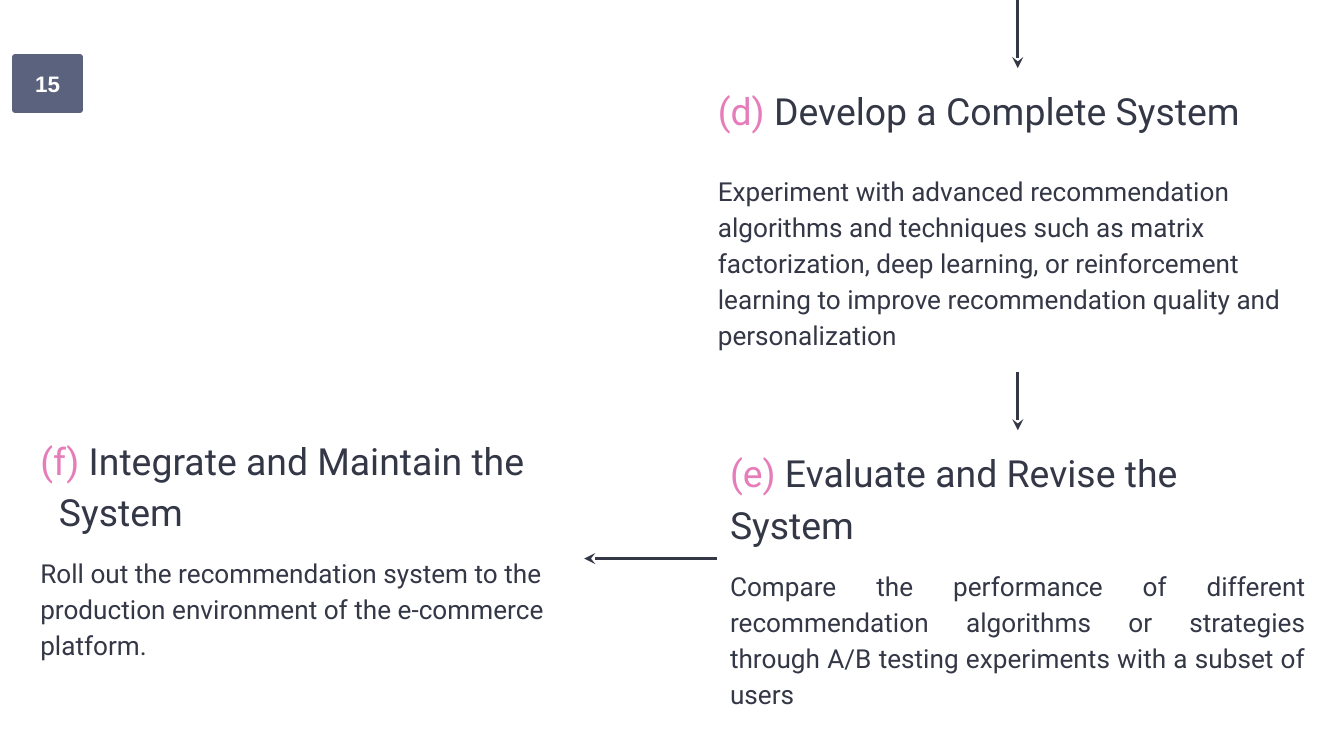
from lxml import etree
from pptx import Presentation
from pptx.dml.color import RGBColor
from pptx.enum.shapes import MSO_CONNECTOR, MSO_SHAPE
from pptx.enum.text import MSO_ANCHOR, PP_ALIGN
from pptx.oxml.ns import qn
from pptx.util import Pt

STRAIGHT = MSO_CONNECTOR.STRAIGHT
RECTANGLE = MSO_SHAPE.RECTANGLE
MIDDLE = MSO_ANCHOR.MIDDLE
LEFT, CENTER, JUSTIFY = PP_ALIGN.LEFT, PP_ALIGN.CENTER, PP_ALIGN.JUSTIFY
TOP_SIDE, LEFT_SIDE, BOTTOM_SIDE, RIGHT_SIDE = range(4)

COLORS = {"ink": "333746", "accent": "E67CB9", "badge": "5B627D", "white": "FFFFFF"}

# Boxes are left, top, width, height in points.
STEPS = [
    {"key": "e", "title": "Evaluate and Revise the System",
     "body": "Compare the performance of different recommendation algorithms or "
             "strategies through A/B testing experiments with a subset of users",
     "box": (384, 230.5, 322.5, 137.5), "align": JUSTIFY,
     "title_after": 0, "body_after": 0, "hanging": 0},
    {"key": "f", "title": "Integrate and Maintain the System",
     "body": "Roll out the recommendation system to the production environment "
             "of the e-commerce platform.",
     "box": (14.5, 223.75, 298.5, 151), "align": LEFT,
     "title_after": 0, "body_after": 10, "hanging": 10},
    {"key": "d", "title": "Develop a Complete System",
     "body": "Experiment with advanced recommendation algorithms and techniques such "
             "as matrix factorization, deep learning, or reinforcement learning to "
             "improve recommendation quality and personalization",
     "box": (377.5, 36.5, 335.5, 163), "align": LEFT,
     "title_after": 10, "body_after": 0, "hanging": 0},
]
# Start step and side, end step and side; no start means the slide's top edge.
ARROWS = [
    ("d", BOTTOM_SIDE, "e", TOP_SIDE),
    ("e", LEFT_SIDE, "f", RIGHT_SIDE),
    (None, None, "d", TOP_SIDE),
]
PAGE_NUMBER = {"text": "15", "box": (8, 30.5, 35, 28.5)}


def color(name):
    return RGBColor.from_string(COLORS[name])


def apply(target, values):
    for name, value in values.items():
        setattr(target, name, value)


def set_margins(frame):
    for side in ("left", "top", "right", "bottom"):
        setattr(frame, f"margin_{side}", Pt(7.2))
    frame.word_wrap = True


def add_span(para, text, size, ink, font="Roboto", bold=False):
    span = para.add_run()
    span.text = text
    apply(span.font, {"name": font, "size": Pt(size), "bold": bold})
    span.font.color.rgb = color(ink)


def add_step(page, step):
    box = page.shapes.add_textbox(*map(Pt, step["box"]))
    frame = box.text_frame
    set_margins(frame)
    title, body = frame.paragraphs[0], frame.add_paragraph()
    for para, align, after in ((title, LEFT, step["title_after"]),
                               (body, step["align"], step["body_after"])):
        apply(para, {"alignment": align, "line_spacing": 1.15,
                     "space_before": Pt(10), "space_after": Pt(after)})
    if step["hanging"]:
        properties = title._p.get_or_add_pPr()
        properties.set("marL", str(Pt(step["hanging"])))
        properties.set("indent", str(-Pt(step["hanging"])))
    add_span(title, f"({step['key']})", 20, "accent")
    add_span(title, f" {step['title']}", 20, "ink")
    add_span(body, step["body"], 14, "ink")
    return box


def add_arrow(page, boxes, start, start_side, end, end_side):
    target = boxes[end]
    center = target.left + target.width // 2
    arrow = page.shapes.add_connector(STRAIGHT, center, 0, center, target.top)
    if start:
        arrow.begin_connect(boxes[start], start_side)
    arrow.end_connect(target, end_side)
    arrow.line.width = Pt(1.5)
    arrow.line.color.rgb = color("ink")
    etree.SubElement(arrow.line._get_or_add_ln(), qn("a:tailEnd"), type="stealth")
    etree.SubElement(arrow._element.spPr, qn("a:effectLst"))


def add_page_number(page):
    badge = page.shapes.add_shape(RECTANGLE, *map(Pt, PAGE_NUMBER["box"]))
    badge.shadow.inherit = False
    badge.fill.solid()
    badge.fill.fore_color.rgb = color("badge")
    badge.line.color.rgb = color("badge")
    badge.line.width = Pt(3)
    etree.SubElement(badge.line._get_or_add_ln(), qn("a:round"))
    frame = badge.text_frame
    set_margins(frame)
    frame.vertical_anchor = MIDDLE
    para = frame.paragraphs[0]
    para.alignment = CENTER
    add_span(para, PAGE_NUMBER["text"], 12, "white", "Arial", True)


def main():
    deck = Presentation()
    apply(deck, {"slide_width": Pt(720), "slide_height": Pt(405)})
    page = deck.slides.add_slide(deck.slide_layouts[6])
    boxes = {step["key"]: add_step(page, step) for step in STEPS}
    for arrow in ARROWS:
        add_arrow(page, boxes, *arrow)
    add_page_number(page)
    deck.save("out.pptx")


if __name__ == "__main__":
    main()
